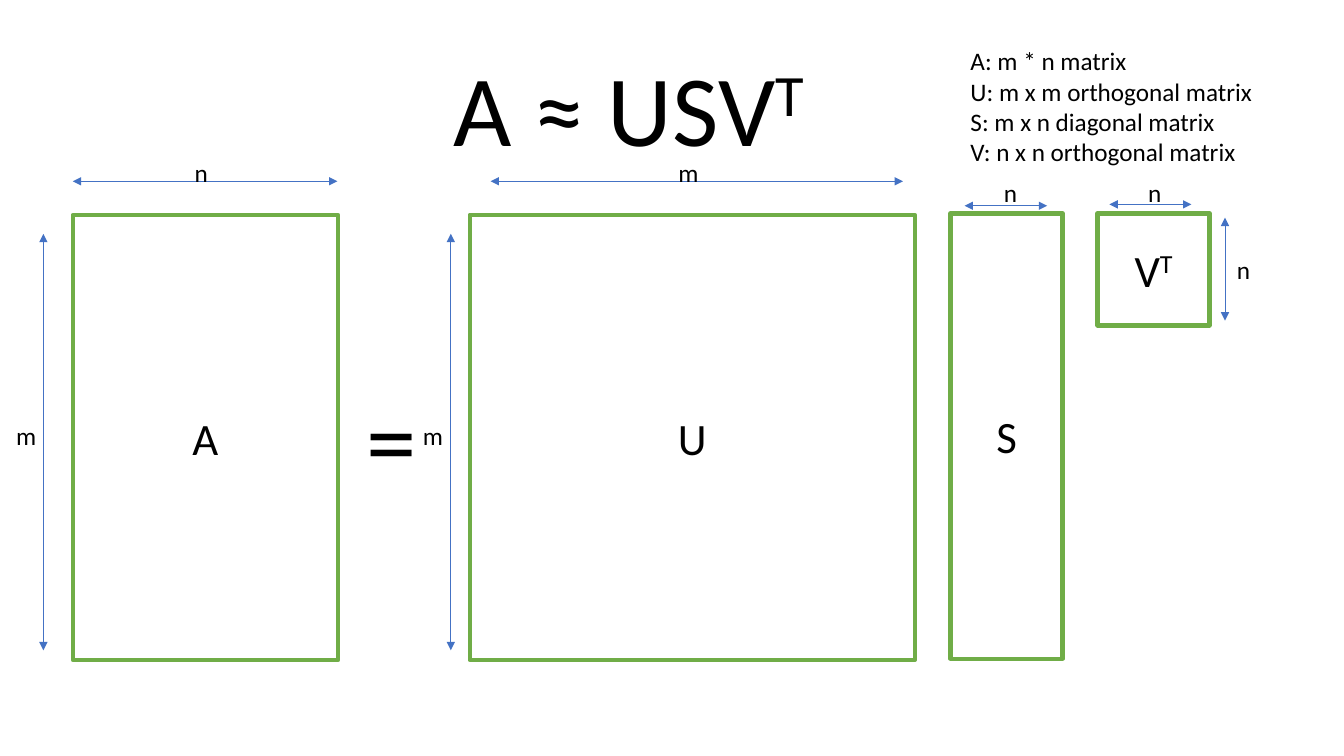
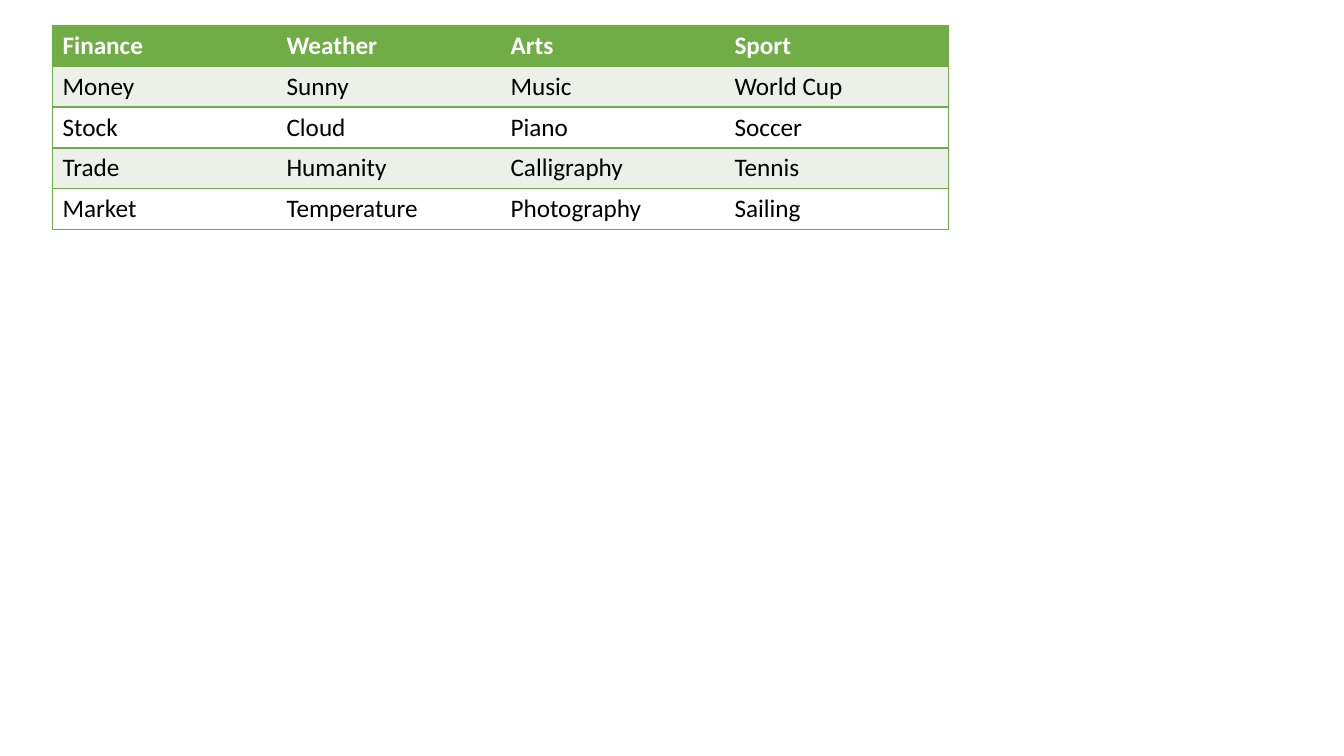
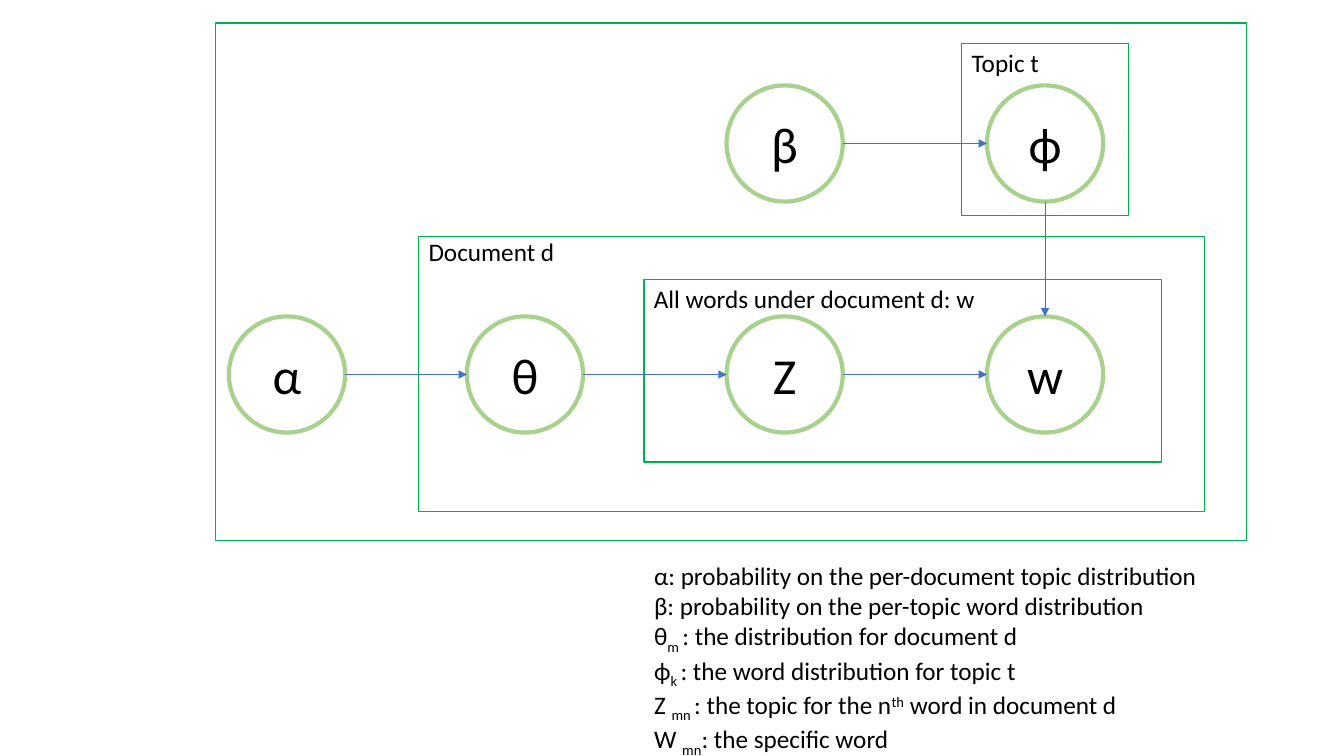
"""Three slides on topic models: matrix factorisation, topic words and the LDA diagram."""
from dataclasses import dataclass
from typing import NamedTuple

from lxml import etree
from pptx import Presentation
from pptx.dml.color import RGBColor
from pptx.enum import shapes, text
from pptx.oxml import ns
from pptx.util import Pt


@dataclass(frozen=True)
class Theme:
    """Colours, type sizes and line widths of the deck."""
    font: str = "Calibri"
    ink: str = "000000"
    paper: str = "FFFFFF"
    green: str = "70AD47"
    band: str = "EBF1E9"
    circle: str = "A9D18E"
    frame: str = "00B050"
    arrow: str = "4472C4"
    formula: float = 72
    variable: float = 36
    matrix: float = 32
    body: float = 18
    thick: float = 3
    thin: float = 1
    hairline: float = 0.5


THEME = Theme()
NO_TABLE_STYLE = "{2D5ABB26-0587-4C30-8999-92F81FD0307C}"


class Box(NamedTuple):
    """A rectangle in points."""
    left: float
    top: float
    width: float
    height: float


class Run(NamedTuple):
    """A piece of text, raised or lowered by a percentage."""
    words: str
    baseline: int = 0


Paragraph = list[Run]


class Matrix(NamedTuple):
    """A labelled matrix block."""
    box: Box
    label: Paragraph


class Dimension(NamedTuple):
    """A double-headed arrow with the name of a dimension."""
    start: tuple[float, float]
    end: tuple[float, float]
    name: str
    label_at: tuple[float, float]


class Plate(NamedTuple):
    """A frame of the diagram with its caption box."""
    box: Box
    caption: str = ""
    caption_top: float = 0
    caption_width: float = 0


class Variable(NamedTuple):
    """A circle of the diagram, placed by its top left corner."""
    symbol: str
    left: float
    top: float


def plain(*lines: str) -> list[Paragraph]:
    """Turn lines into paragraphs without raised or lowered parts."""
    return [[Run(line)] for line in lines]


def points(values) -> list[Pt]:
    """Convert numbers to point lengths."""
    return [Pt(value) for value in values]


def write(frame, paragraphs: list[Paragraph], *, size: float = THEME.body,
          color: str = THEME.ink, bold: bool = False,
          align=text.PP_ALIGN.LEFT) -> None:
    """Fill a text frame with formatted paragraphs."""
    for index, runs in enumerate(paragraphs):
        paragraph = frame.add_paragraph() if index else frame.paragraphs[0]
        paragraph.alignment = align
        paragraph.space_before = Pt(0)
        for piece in runs:
            run = paragraph.add_run()
            run.text = piece.words
            font = run.font
            font.name, font.size, font.bold = THEME.font, Pt(size), bold
            font.color.rgb = RGBColor.from_string(color)
            if piece.baseline:
                run._r.get_or_add_rPr().set("baseline", str(piece.baseline * 1000))


def fit(frame) -> None:
    """Let a text frame grow with unwrapped text from its top."""
    frame.word_wrap = False
    frame.auto_size = text.MSO_AUTO_SIZE.SHAPE_TO_FIT_TEXT
    frame.vertical_anchor = text.MSO_ANCHOR.TOP


def add_label(slide, box: Box, words: str, size: float = THEME.body) -> None:
    """Add a one-line text box."""
    label = slide.shapes.add_textbox(*points(box))
    fit(label.text_frame)
    write(label.text_frame, plain(words), size=size)


def fill_placeholder(holder, box: Box, paragraphs: list[Paragraph], size: float) -> None:
    """Move a placeholder and fill it with unbulleted text."""
    holder.left, holder.top, holder.width, holder.height = points(box)
    fit(holder.text_frame)
    write(holder.text_frame, paragraphs, size=size)
    for paragraph in holder.text_frame.paragraphs:
        properties = paragraph._p.get_or_add_pPr()
        properties.set("marL", "0")
        properties.set("indent", "0")
        etree.SubElement(properties, ns.qn("a:buNone"))


def add_outline(slide, kind, box: Box, color: str, width: float,
                fill: str | None = None):
    """Add an outlined preset shape and return it."""
    outline = slide.shapes.add_shape(kind, *points(box))
    outline.shadow.inherit = False
    if fill:
        outline.fill.solid()
        outline.fill.fore_color.rgb = RGBColor.from_string(fill)
    else:
        outline.fill.background()
    outline.line.color.rgb = RGBColor.from_string(color)
    outline.line.width = Pt(width)
    return outline


def write_centred(shape, label: Paragraph, size: float) -> None:
    """Write a label in the middle of a shape."""
    shape.text_frame.vertical_anchor = text.MSO_ANCHOR.MIDDLE
    write(shape.text_frame, [label], size=size, align=text.PP_ALIGN.CENTER)


def add_arrow(slide, start: tuple[float, float], end: tuple[float, float],
              both: bool = False) -> None:
    """Add a thin arrow with a head at its end, or at both ends."""
    arrow = slide.shapes.add_connector(
        shapes.MSO_CONNECTOR.STRAIGHT, *points(start), *points(end))
    arrow.line.color.rgb = RGBColor.from_string(THEME.arrow)
    arrow.line.width = Pt(THEME.hairline)
    line = arrow.line._get_or_add_ln()
    for tag in ("a:headEnd", "a:tailEnd") if both else ("a:tailEnd",):
        etree.SubElement(line, ns.qn(tag), type="triangle")
    etree.SubElement(arrow._element.spPr, ns.qn("a:effectLst"))


def set_borders(cell, sides: list[str]) -> None:
    """Draw the named cell borders; call before the fill is set."""
    properties = cell._tc.get_or_add_tcPr()
    for side in sides:
        border = etree.SubElement(properties, ns.qn(f"a:ln{side}"), w=str(Pt(THEME.thin)))
        solid = etree.SubElement(border, ns.qn("a:solidFill"))
        etree.SubElement(solid, ns.qn("a:srgbClr"), val=THEME.green)


MATRICES = [
    Matrix(Box(52, 153.5, 189.5, 318), [Run("A")]),
    Matrix(Box(335.5, 153.5, 318, 318), [Run("U")]),
    Matrix(Box(679, 152.5, 80, 318), [Run("S")]),
    Matrix(Box(784, 152.5, 80, 80), [Run("V"), Run("T", 30)]),
]
DIMENSIONS = [
    Dimension((52, 129.5), (241, 129.5), "n", (132, 108.5)),
    Dimension((350.5, 129.5), (645, 129.5), "m", (477.5, 108.5)),
    Dimension((31, 167), (31, 464.5), "m", (4.5, 296.5)),
    Dimension((322, 167), (322, 464.5), "m", (295, 296.5)),
    Dimension((689, 147), (748, 147), "n", (710, 123)),
    Dimension((792.5, 146), (851, 146), "n", (813, 123)),
    Dimension((875, 229), (875, 155.5), "n", (876.5, 178)),
]
LABEL_WIDTHS = {"n": 24.5, "m": 29}
LABEL_HEIGHT = 29

TOPICS = [
    ["Finance", "Weather", "Arts", "Sport"],
    ["Money", "Sunny", "Music", "World Cup"],
    ["Stock", "Cloud", "Piano", "Soccer"],
    ["Trade", "Humanity", "Calligraphy", "Tennis"],
    ["Market", "Temperature", "Photography", "Sailing"],
]
COLUMN_WIDTH, ROW_HEIGHT = 160, 29.25

DIAMETER = 83
UPPER, LOWER = 61, 226
VARIABLES = [
    Variable("β", 519, UPPER), Variable("ϕ", 705, UPPER),
    Variable("α", 163.5, LOWER), Variable("θ", 333.5, LOWER),
    Variable("Z", 519, LOWER), Variable("w", 705, LOWER),
]
DEPENDENCIES = ["βϕ", "ϕw", "αθ", "θZ", "Zw"]
PLATES = [
    Plate(Box(154, 16.5, 736.5, 369.5)),
    Plate(Box(299, 169, 561.5, 196.5), "Document d", 165, 106),
    Plate(Box(460, 199.5, 369.5, 130.5), "All words under document d: w", 198.5, 246),
    Plate(Box(687, 31, 119, 123), "Topic t", 30.5, 63),
]
VARIABLE_MEANINGS = [
    *plain("α: probability on the per-document topic distribution",
           "β: probability on the per-topic word distribution"),
    [Run("θ"), Run("m ", -25), Run(": the distribution for document d")],
    [Run("ϕ"), Run("k ", -25), Run(": the word distribution for topic t")],
    [Run("Z "), Run("mn ", -25), Run(": the topic for the n"), Run("th", 30),
     Run(" word in document d")],
    [Run("W "), Run("mn", -25), Run(": the specific word")],
]


def build_factorisation(slide) -> None:
    """Show a matrix as the product of three others."""
    formula, meanings = slide.placeholders
    fill_placeholder(formula, Box(317, 29, 270, 94),
                     [[Run("A ≈ USV"), Run("T", 30)]], THEME.formula)
    fill_placeholder(meanings, Box(686, 29, 222, 94),
                     plain("A: m * n matrix", "U: m x m orthogonal matrix",
                           "S: m x n diagonal matrix", "V: n x n orthogonal matrix"),
                     THEME.body)
    for matrix in MATRICES:
        block = add_outline(slide, shapes.MSO_SHAPE.RECTANGLE, matrix.box,
                            THEME.green, THEME.thick, THEME.paper)
        write_centred(block, matrix.label, THEME.matrix)
    add_label(slide, Box(255, 265.5, 51, 94), "=", THEME.formula)
    for dimension in DIMENSIONS:
        add_arrow(slide, dimension.start, dimension.end, both=True)
        add_label(slide, Box(*dimension.label_at, LABEL_WIDTHS[dimension.name],
                             LABEL_HEIGHT), dimension.name)


def build_topics(slide) -> None:
    """List example words for each topic in a banded table."""
    row_count, column_count = len(TOPICS), len(TOPICS[0])
    table = slide.shapes.add_table(
        row_count, column_count,
        *points(Box(37.5, 18, COLUMN_WIDTH * column_count, ROW_HEIGHT * row_count))).table
    table._tbl.tblPr.find(ns.qn("a:tableStyleId")).text = NO_TABLE_STYLE
    table.horz_banding = False
    for row, words in enumerate(TOPICS):
        table.rows[row].height = Pt(ROW_HEIGHT)
        heading = row == 0
        fill = THEME.green if heading else (THEME.band if row % 2 else THEME.paper)
        for column, word in enumerate(words):
            cell = table.cell(row, column)
            outer = {0: ["L"], column_count - 1: ["R"]}.get(column, [])
            set_borders(cell, outer + ["T", "B"])
            cell.fill.solid()
            cell.fill.fore_color.rgb = RGBColor.from_string(fill)
            write(cell.text_frame, plain(word), bold=heading,
                  color=THEME.paper if heading else THEME.ink)


def build_diagram(slide) -> None:
    """Draw the plates, variables and dependencies of the topic model."""
    unused_title, meanings = slide.placeholders
    unused_title._element.getparent().remove(unused_title._element)
    fill_placeholder(meanings, Box(460, 396.5, 407.5, 138.5), VARIABLE_MEANINGS, THEME.body)
    for plate in PLATES:
        add_outline(slide, shapes.MSO_SHAPE.RECTANGLE, plate.box, THEME.frame, THEME.thin)
        if plate.caption:
            add_label(slide, Box(plate.box.left, plate.caption_top,
                                 plate.caption_width, LABEL_HEIGHT), plate.caption)
    for variable in VARIABLES:
        circle = add_outline(slide, shapes.MSO_SHAPE.OVAL,
                             Box(variable.left, variable.top, DIAMETER, DIAMETER),
                             THEME.circle, THEME.thick)
        write_centred(circle, [Run(variable.symbol)], THEME.variable)
    by_symbol = {variable.symbol: variable for variable in VARIABLES}
    radius = DIAMETER / 2
    for cause, effect in DEPENDENCIES:
        source, target = by_symbol[cause], by_symbol[effect]
        if source.top == target.top:
            middle = source.top + radius
            add_arrow(slide, (source.left + DIAMETER, middle), (target.left, middle))
        else:
            middle = source.left + radius
            add_arrow(slide, (middle, source.top + DIAMETER), (middle, target.top))


def main() -> None:
    """Build the deck and save it."""
    deck = Presentation()
    deck.slide_width, deck.slide_height = Pt(960), Pt(540)
    content, blank = deck.slide_layouts[1], deck.slide_layouts[6]
    for layout, build in ((content, build_factorisation), (blank, build_topics),
                          (content, build_diagram)):
        build(deck.slides.add_slide(layout))
    deck.save("out.pptx")


main()
